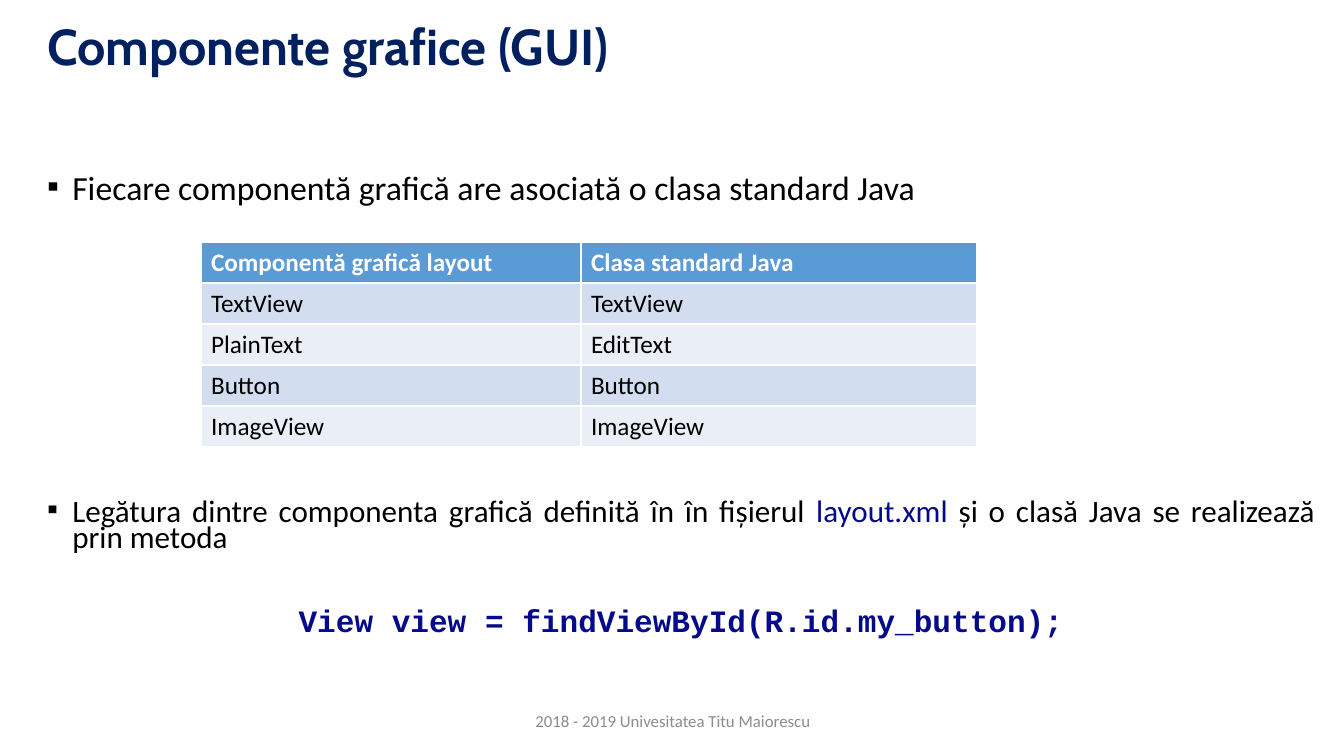
from pptx import Presentation
from pptx.dml.color import RGBColor as RGB
from pptx.enum.text import MSO_ANCHOR as Anchor, MSO_AUTO_SIZE as Fit, PP_ALIGN as Align
from pptx.util import Pt
from lxml.etree import SubElement
from pptx.oxml.ns import qn

PX = 914400 / 100.8
INK = {"title": "002060", "code": "040A8A", "text": "000000", "foot": "8C8C8C",
       "head": "5B9BD5", "odd": "D2DEEF", "even": "EAEFF7", "white": "FFFFFF"}


def place(shape, *box):
    shape.left, shape.top, shape.width, shape.height = [round(n * PX) for n in box]


def style(font, size, ink, bold=False, name="Calibri"):
    font.name, font.size, font.bold = name, Pt(size), bold
    font.color.rgb = RGB.from_string(INK[ink])


deck = Presentation()
deck.slide_width, deck.slide_height = round(1344 * PX), round(756 * PX)
slide = deck.slides.add_slide(deck.slide_layouts[1])

title = slide.shapes.title
place(title, 37, 0, 1288, 98)
frame = title.text_frame
frame.text = "Componente grafice (GUI)"
frame.auto_size = Fit.NONE
frame.vertical_anchor = Anchor.MIDDLE
para = frame.paragraphs[0]
para.alignment = Align.LEFT
para.line_spacing = 0.9
style(para.font, 36, "title", True, "Cabin")

body = slide.placeholders[1]
place(body, 37, 173, 1288, 521)
frame = body.text_frame
frame.auto_size = Fit.NONE
frame.vertical_anchor = Anchor.TOP
items = [
    (["Fiecare componentă grafică are asociată o clasa standard Java"], 24.1, 0),
    (["Legătura dintre componenta grafică definită în în fișierul ", "layout.xml",
      " și o clasă Java se realizează prin metoda"], 22.2, 211),
]
for i, (parts, size, gap) in enumerate(items):
    para = frame.add_paragraph() if i else frame.paragraphs[0]
    para.alignment = Align.JUSTIFY
    para.line_spacing = 0.7
    para.space_before = Pt(gap)
    props = para._p.get_or_add_pPr()
    props.set("marL", "228600")
    props.set("indent", "-228600")
    SubElement(props, qn("a:buChar")).set("char", "▪")
    style(para.font, size, "text")
    for part in parts:
        run = para.add_run()
        run.text = part
        if part == "layout.xml":
            run.font.color.rgb = RGB.from_string(INK["code"])

code = frame.add_paragraph()
code.text = "View view = findViewById(R.id.my_button);"
code.alignment = Align.CENTER
code.line_spacing = 0.7
code.space_before = Pt(41)
props = code._p.get_or_add_pPr()
props.set("marL", "0")
props.set("indent", "0")
SubElement(props, qn("a:buNone"))
style(code.font, 22.2, "code", True, "Courier New")

rows = [
    ("Componentă grafică layout", "Clasa standard Java"),
    ("TextView", "TextView"),
    ("PlainText", "EditText"),
    ("Button", "Button"),
    ("ImageView", "ImageView"),
]
grid = slide.shapes.add_table(len(rows), 2, 0, 0, 0, 0)
place(grid, 201, 242, 776, 205)
table = grid.table
for col, width in zip(table.columns, (380, 396)):
    col.width = round(width * PX)
for r, row in enumerate(rows):
    table.rows[r].height = round(41 * PX)
    fill = "head" if r == 0 else "odd" if r % 2 else "even"
    for c, text in enumerate(row):
        cell = table.cell(r, c)
        cell.text = text
        cell.fill.solid()
        cell.fill.fore_color.rgb = RGB.from_string(INK[fill])
        style(cell.text_frame.paragraphs[0].font, 18, "text" if r else "white", r == 0)

foot = slide.shapes.add_textbox(0, 0, 0, 0)
place(foot, 446, 701, 454, 40)
frame = foot.text_frame
frame.word_wrap = True
frame.vertical_anchor = Anchor.MIDDLE
frame.text = "2018 - 2019 Univesitatea Titu Maiorescu"
para = frame.paragraphs[0]
para.alignment = Align.CENTER
style(para.font, 12, "foot")

deck.save("out.pptx")
